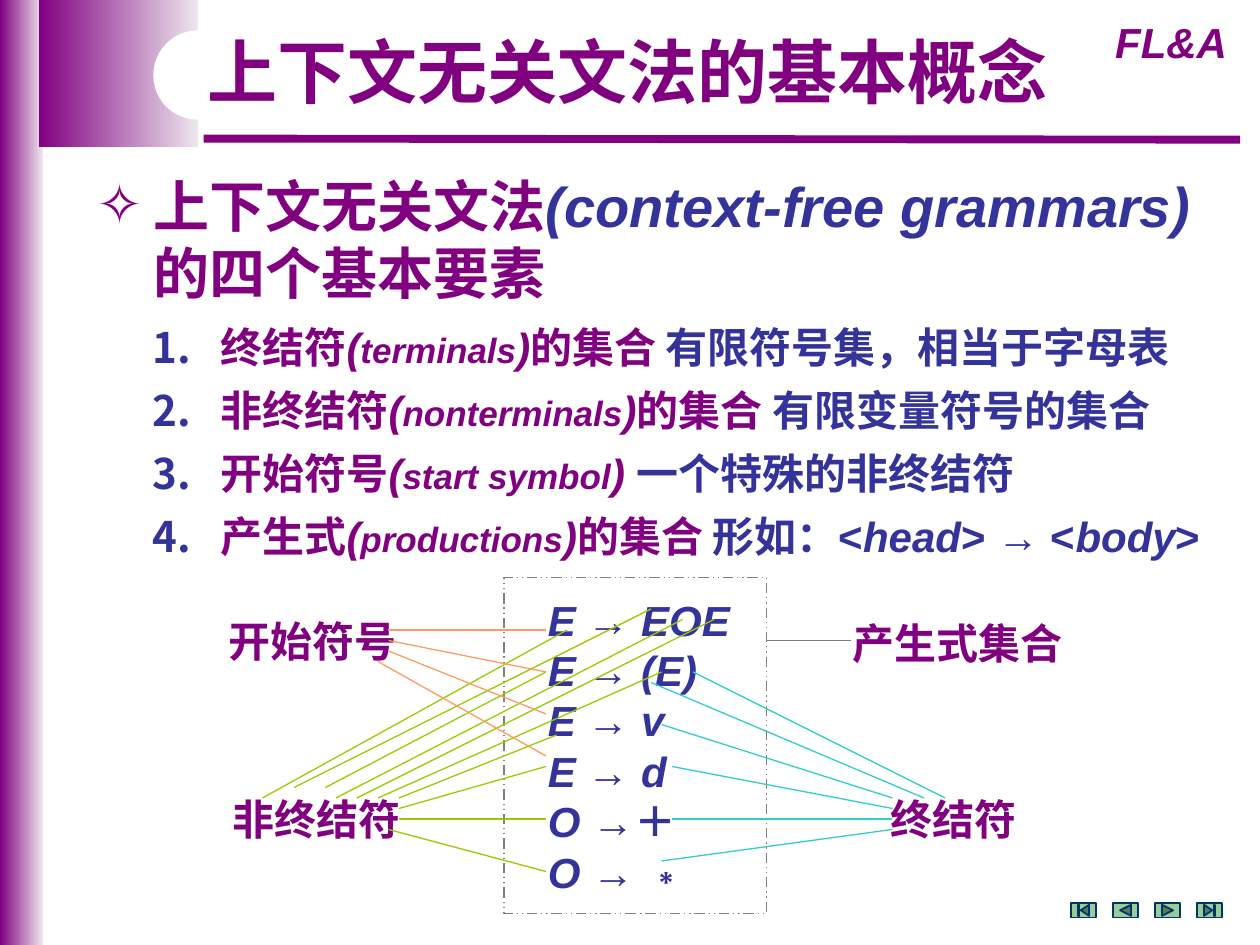
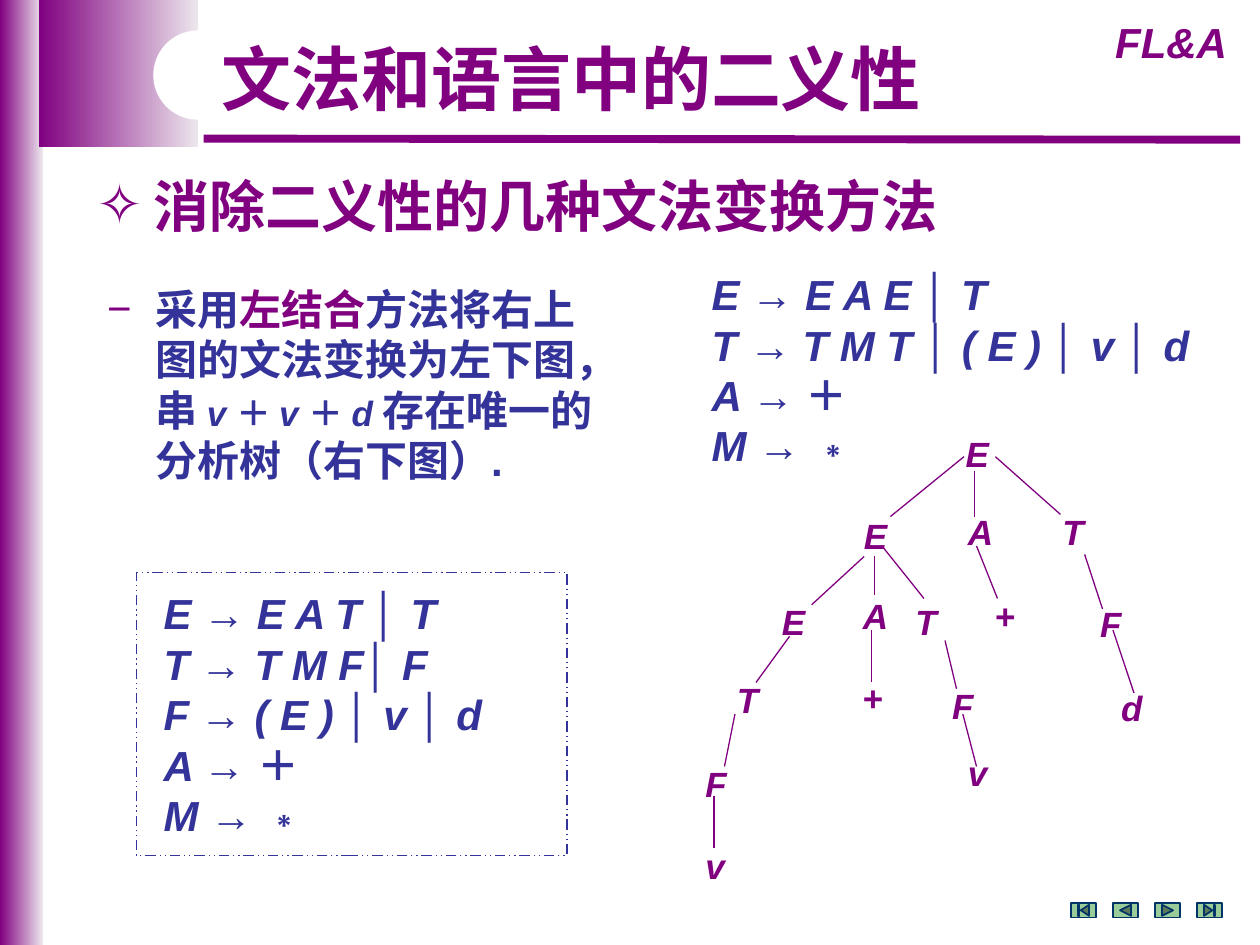
"""Builds two slides on context-free grammars and their ambiguity."""
from dataclasses import dataclass
from itertools import groupby
from typing import NamedTuple, Optional, Sequence

from lxml.etree import SubElement
from pptx import Presentation
from pptx.dml.color import RGBColor
from pptx.enum.dml import MSO_LINE
from pptx.enum.shapes import MSO_CONNECTOR, MSO_SHAPE
from pptx.enum.text import MSO_ANCHOR, MSO_AUTO_SIZE, PP_ALIGN
from pptx.oxml.ns import qn
from pptx.util import Inches, Pt

PURPLE = RGBColor(0x80, 0x00, 0x80)
PALE = RGBColor(0xED, 0xE7, 0xED)
BLUE = RGBColor(0x33, 0x33, 0x99)
WHITE = RGBColor(0xFF, 0xFF, 0xFF)
GRAY = RGBColor(0x80, 0x80, 0x80)
TEAL = RGBColor(0x33, 0xCC, 0xCC)
LIME = RGBColor(0x99, 0xCC, 0x00)
ORANGE = RGBColor(0xFF, 0x99, 0x66)
BUTTON_GREEN = RGBColor(0x99, 0xCC, 0x99)
BUTTON_EDGE = RGBColor(0x00, 0x33, 0x66)

COLUMNS, ROWS = 120, 90
CELL = Inches(10) / COLUMNS
UPRIGHT_SYMBOLS = "→│＋∗"
NAVIGATION = (
    MSO_SHAPE.ACTION_BUTTON_BEGINNING,
    MSO_SHAPE.ACTION_BUTTON_BACK_OR_PREVIOUS,
    MSO_SHAPE.ACTION_BUTTON_FORWARD_OR_NEXT,
    MSO_SHAPE.ACTION_BUTTON_END,
)


class Box(NamedTuple):
    """Left, top, width and height in grid cells."""
    left: float
    top: float
    width: float
    height: float


class Edge(NamedTuple):
    """Start and end of a line in grid cells."""
    x1: float
    y1: float
    x2: float
    y2: float


class Span(NamedTuple):
    """A piece of text with what differs from its paragraph."""
    text: str
    color: Optional[RGBColor] = None
    italic: Optional[bool] = None
    size: Optional[float] = None


@dataclass(frozen=True)
class Style:
    """Font and list settings of a paragraph."""
    size: float = 24
    color: RGBColor = BLUE
    italic: bool = False
    font: str = "Arial"
    bullet: str = ""
    numbered: bool = False
    indent: float = 0
    before: float = 0
    align: PP_ALIGN = PP_ALIGN.LEFT


class Element(NamedTuple):
    """One numbered element of a grammar."""
    name: str
    english: str
    suffix: str
    meaning: Sequence[Span]


class TreeNode(NamedTuple):
    """A parse tree label and the line to its parent."""
    label: str
    left: float
    top: float
    edge: Optional[Edge] = None


ELEMENTS = (
    Element("终结符", "terminals", "的集合 ", [Span("有限符号集，相当于字母表")]),
    Element("非终结符", "nonterminals", "的集合 ", [Span("有限变量符号的集合")]),
    Element("开始符号", "start symbol", " ", [Span("一个特殊的非终结符")]),
    Element("产生式", "productions", "的集合 ", [
        Span("形如：<"), Span("head", italic=True), Span("> → <"),
        Span("body", italic=True), Span(">")]),
)
FANS = {
    TEAL: ((90, 76, 66, 64), (88, 76, 62, 65), (85, 76, 63, 69),
           (85, 77, 64, 73), (85, 78, 64, 78), (85, 79, 63, 82)),
    LIME: ((54, 60, 25, 76), (52, 64, 31, 75), (53, 70, 38, 76), (52, 78, 38, 78),
           (52, 73, 38, 77), (52, 83, 37, 79), (62, 58, 28, 75), (65, 59, 32, 76),
           (68, 59, 34, 76), (63, 64, 36, 76)),
    ORANGE: ((52, 60, 37, 60), (52, 64, 37, 61), (52, 68, 37, 62), (52, 72, 36, 63)),
    GRAY: ((73, 61, 81, 61),),
}
LABELS = (("开始符号", 20.6, 58), ("产生式集合", 80, 58.2),
          ("非终结符", 21, 75), ("终结符", 83.6, 75))
PARSE_TREE = (
    TreeNode("E", 90.8, 40.6),
    TreeNode("E", 81.1, 48.4, Edge(84.8, 49.2, 91.8, 43.5)),
    TreeNode("A", 91, 48, Edge(92.8, 49.2, 92.8, 44.9)),
    TreeNode("T", 100, 48, Edge(101, 49, 94.8, 43.5)),
    TreeNode("E", 73.3, 56.6, Edge(77.3, 57.6, 82.3, 53)),
    TreeNode("A", 81, 56, Edge(83.3, 56.7, 83.3, 53)),
    TreeNode("T", 86, 56.6, Edge(88, 57, 84, 52)),
    TreeNode("+", 93.6, 56, Edge(95, 57, 93, 52)),
    TreeNode("F", 103.6, 56.8, Edge(105, 58, 103.3, 52.8)),
    TreeNode("T", 69, 64, Edge(72, 65, 75.2, 60.6)),
    TreeNode("+", 81, 63.8, Edge(83, 65, 83, 60)),
    TreeNode("F", 89.5, 64.6, Edge(91.1, 65.6, 90, 61)),
    TreeNode("d", 105.6, 64.8, Edge(108, 66, 106, 60)),
    TreeNode("F", 66, 72, Edge(69, 73, 70, 68)),
    TreeNode("v", 91, 71, Edge(93, 73, 91.7, 68)),
    TreeNode("v", 66, 79.8, Edge(68, 80.8, 68, 75.8)),
)


def cells(*values: float) -> list[int]:
    """Turns grid cells into lengths."""
    return [round(value * CELL) for value in values]


def set_list_marks(paragraph, style: Style) -> None:
    """Sets the indent and the bullet or number of a paragraph."""
    properties = paragraph._p.get_or_add_pPr()
    indent = cells(style.indent)[0]
    marked = style.bullet or style.numbered
    properties.set("marL", str(indent))
    properties.set("indent", str(-indent if marked else 0))
    if not marked:
        SubElement(properties, qn("a:buNone"))
        return
    color = BLUE if style.numbered else PURPLE
    SubElement(SubElement(properties, qn("a:buClr")), qn("a:srgbClr")).set("val", str(color))
    if style.numbered:
        SubElement(properties, qn("a:buAutoNum")).set("type", "arabicPeriod")
    else:
        SubElement(properties, qn("a:buChar")).set("char", style.bullet)


def write_paragraph(paragraph, spans: Sequence[Span], style: Style) -> None:
    """Writes styled spans into a paragraph."""
    set_list_marks(paragraph, style)
    paragraph.alignment = style.align
    paragraph.space_before = Pt(style.before)
    font = paragraph.font
    font.name, font.size, font.bold = style.font, Pt(style.size), True
    font.italic = style.italic
    font.color.rgb = style.color
    for span in spans:
        run = paragraph.add_run()
        run.text = span.text
        if span.color is not None:
            run.font.color.rgb = span.color
        if span.italic is not None:
            run.font.italic = span.italic
        if span.size is not None:
            run.font.size = Pt(span.size)


def fill_text(shape, box: Box, lines: Sequence[tuple[Sequence[Span], Style]],
              anchor: MSO_ANCHOR = MSO_ANCHOR.TOP) -> None:
    """Places a text shape and writes its paragraphs."""
    shape.left, shape.top, shape.width, shape.height = cells(*box)
    frame = shape.text_frame
    frame.word_wrap = True
    frame.auto_size = MSO_AUTO_SIZE.NONE
    frame.vertical_anchor = anchor
    frame.margin_right = 0
    for index, (spans, style) in enumerate(lines):
        paragraph = frame.add_paragraph() if index else frame.paragraphs[0]
        write_paragraph(paragraph, spans, style)


def add_text(slide, box: Box, lines: Sequence[tuple[Sequence[Span], Style]]) -> None:
    """Adds a text box."""
    fill_text(slide.shapes.add_textbox(*cells(*box)), box, lines)


def add_box(slide, kind: MSO_SHAPE, box: Box, fill: Optional[RGBColor] = None,
            line: Optional[RGBColor] = None, width: float = 0.75):
    """Adds a preset shape without shadow."""
    shape = slide.shapes.add_shape(kind, *cells(*box))
    shape.shadow.inherit = False
    if fill is None:
        shape.fill.background()
    else:
        shape.fill.solid()
        shape.fill.fore_color.rgb = fill
    if line is None:
        shape.line.fill.background()
    else:
        shape.line.color.rgb = line
        shape.line.width = Pt(width)
    return shape


def add_line(slide, edge: Edge, color: RGBColor, width: float = 0.75) -> None:
    """Adds a straight line without shadow."""
    line = slide.shapes.add_connector(MSO_CONNECTOR.STRAIGHT, *cells(*edge))
    line.line.color.rgb = color
    line.line.width = Pt(width)
    SubElement(line.element.spPr, qn("a:effectLst"))


def add_dashed_frame(slide, box: Box, color: RGBColor) -> None:
    """Adds an unfilled frame with a dash-dot-dot outline."""
    add_box(slide, MSO_SHAPE.RECTANGLE, box, line=color).line.dash_style = MSO_LINE.DASH_DOT_DOT


def add_productions(slide, box: Box, rules: Sequence[str]) -> None:
    """Adds grammar rules with italic letters and upright symbols."""
    style = Style(italic=True)
    lines = []
    for rule in rules:
        groups = groupby(rule, key=lambda letter: letter in UPRIGHT_SYMBOLS)
        lines.append(([Span("".join(letters), italic=False if upright else None)
                       for upright, letters in groups], style))
    add_text(slide, box, lines)


def add_template(slide) -> None:
    """Draws the bands, rule, course mark and navigation buttons."""
    for band in (Box(0, 0, 4.1, ROWS), Box(3.7, 0, 15.2, 14)):
        fill = add_box(slide, MSO_SHAPE.RECTANGLE, band, PURPLE).fill
        fill.gradient()
        fill.gradient_angle = 0
        for stop, color in zip(fill.gradient_stops, (PURPLE, PALE)):
            stop.color.rgb = color
    add_line(slide, Edge(19.4, 13.2, 118.1, 13.3), PURPLE, 4.5)
    add_text(slide, Box(103.4, 1, 15.1, 6),
             [([Span("FL&A")], Style(color=PURPLE, italic=True, align=PP_ALIGN.CENTER))])
    notch = add_box(slide, MSO_SHAPE.ROUNDED_RECTANGLE, Box(14.6, 2.9, 43.4, 8.5), WHITE)
    notch.adjustments[0] = 0.5
    for index, button in enumerate(NAVIGATION):
        add_box(slide, button, Box(102 + 4 * index, 86, 2.4, 1.4), BUTTON_GREEN, BUTTON_EDGE, 1)


def add_topic_slide(presentation, title: str, title_box: Box, title_font: str,
                    heading: Sequence[Sequence[Span]]):
    """Adds a slide with its template, title and star heading, and returns it with its list."""
    slide = presentation.slides.add_slide(presentation.slide_layouts[3])
    add_template(slide)
    title_shape, heading_shape, list_shape = list(slide.placeholders)
    for placeholder in (title_shape, heading_shape, list_shape):
        slide.shapes.element.append(placeholder.element)
    fill_text(title_shape, title_box,
              [([Span(title)], Style(40, PURPLE, font=title_font))], MSO_ANCHOR.MIDDLE)
    fill_text(heading_shape, Box(8, 15.7, 110.5, 7 * len(heading)),
              [(spans, Style(32, PURPLE, bullet="" if index else "✧", indent=5.4))
               for index, spans in enumerate(heading)])
    return slide, list_shape


def build_concepts(presentation) -> None:
    """Builds the slide on the four elements of a grammar."""
    slide, elements = add_topic_slide(
        presentation, "上下文无关文法的基本概念", Box(18.6, 2.5, 82.4, 8.4), "Times New Roman",
        [[Span("上下文无关文法"), Span("(context-free grammars)", BLUE, True)],
         [Span("的四个基本要素")]])
    lines = []
    for index, element in enumerate(ELEMENTS):
        spans = [Span(element.name, PURPLE, False), Span("(", PURPLE),
                 Span(element.english, PURPLE, size=20), Span(")", PURPLE),
                 Span(element.suffix, PURPLE, False)]
        spans += [span._replace(italic=bool(span.italic)) for span in element.meaning]
        lines.append((spans, Style(italic=True, numbered=True, indent=6.5,
                                   before=7.2 if index else 0)))
    fill_text(elements, Box(13.3, 30, 106.7, 24), lines)
    add_productions(slide, Box(51, 56, 21, 30.2),
                    ["E → EOE", "E → (E)", "E → v", "E → d", "O →＋", "O → ∗"])
    add_dashed_frame(slide, Box(48, 55, 25, 32), GRAY)
    for text, left, top in LABELS:
        add_text(slide, Box(left, top, 4 * len(text) + 3, 6), [([Span(text)], Style(color=PURPLE))])
    for color, edges in FANS.items():
        for edge in edges:
            add_line(slide, Edge(*edge), color)


def build_ambiguity(presentation) -> None:
    """Builds the slide on removing ambiguity."""
    slide, method = add_topic_slide(
        presentation, "文法和语言中的二义性", Box(19.9, 2.8, 69.1, 9.2), "Arial",
        [[Span("消除二义性的几种文法变换方法")]])
    method_lines = (
        [Span("采用"), Span("左结合", PURPLE), Span("方法将右上")],
        [Span("图的文法变换为左下图，")],
        [Span("串 ")] + [Span(text, italic=text != "＋ ", size=20)
                        for text in ("v ", "＋ ", "v ", "＋ ", "d ")] + [Span("存在唯一的")],
        [Span("分析树（右下图）.")],
    )
    fill_text(method, Box(9, 26.4, 54, 20.6),
              [(spans, Style(bullet="" if index else "−", indent=4.6))
               for index, spans in enumerate(method_lines)])
    add_productions(slide, Box(14.4, 55.4, 39.6, 25.2),
                    ["E → E A T │ T", "T → T M F│ F", "F → ( E ) │ v │ d", "A → ＋", "M → ∗"])
    add_dashed_frame(slide, Box(13, 54.5, 41, 27), BLUE)
    add_productions(slide, Box(66.6, 25, 49.3, 20.4),
                    ["E → E A E │ T", "T → T M T │ ( E ) │ v │ d", "A → ＋", "M → ∗"])
    for node in PARSE_TREE:
        add_text(slide, Box(node.left, node.top, 4.8, 5.2),
                 [([Span(node.label)], Style(20, PURPLE, italic=node.label != "+"))])
        if node.edge:
            add_line(slide, node.edge, PURPLE)


def main() -> None:
    """Builds and saves the presentation."""
    presentation = Presentation()
    presentation.slide_width, presentation.slide_height = cells(COLUMNS, ROWS)
    build_concepts(presentation)
    build_ambiguity(presentation)
    presentation.save("out.pptx")


if __name__ == "__main__":
    main()
